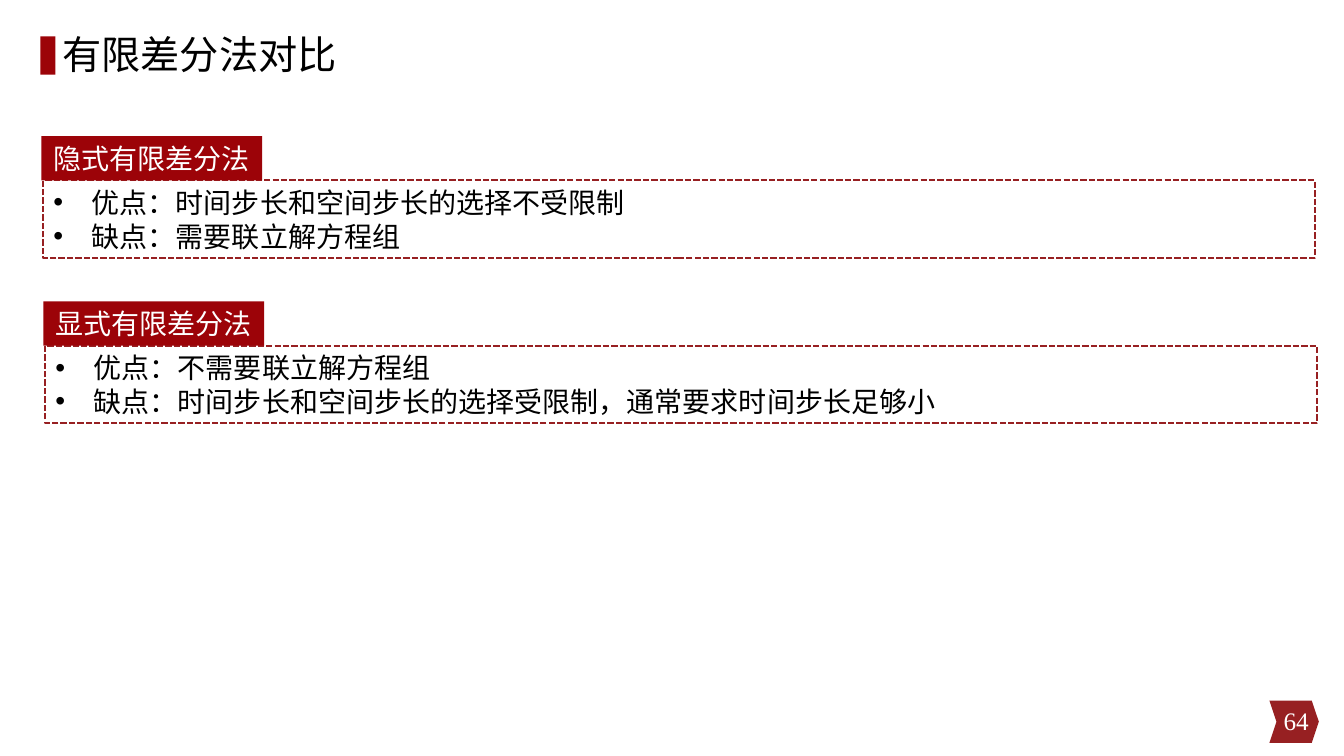
"""Builds a slide comparing implicit and explicit finite difference methods."""
from dataclasses import dataclass

from lxml import etree
from pptx import Presentation
from pptx import util as u
from pptx.dml.color import RGBColor
from pptx.enum import dml, shapes, text
from pptx.oxml import ns

CRIMSON = RGBColor(0x9C, 0x03, 0x08)
BRICK = RGBColor(0x97, 0x20, 0x22)
BLACK = RGBColor(0, 0, 0)
WHITE = RGBColor(0xFF, 0xFF, 0xFF)
LATIN = "Times New Roman"
CJK = "Noto Sans CJK SC"


@dataclass
class Method:
    name: str
    points: list[str]
    left: float
    top: float


METHODS = [
    Method("隐式有限差分法",
           ["优点：时间步长和空间步长的选择不受限制", "缺点：需要联立解方程组"],
           0.41, 1.35),
    Method("显式有限差分法",
           ["优点：不需要联立解方程组",
            "缺点：时间步长和空间步长的选择受限制，通常要求时间步长足够小"],
           0.43, 2.99),
]


def place(sp, left: float, top: float, width: float, height: float) -> None:
    sp.left, sp.top = u.Inches(left), u.Inches(top)
    sp.width, sp.height = u.Inches(width), u.Inches(height)


def add_run(p, words: str, size: float, color: RGBColor, font: str = LATIN) -> None:
    r = p.add_run()
    r.text = words
    r.font.size = u.Pt(size)
    r.font.name = font
    r.font.color.rgb = color
    etree.SubElement(r.font._element, ns.qn("a:ea"), typeface=CJK)


def add_block(s, kind, left: float, top: float, width: float, height: float,
              color: RGBColor):
    sp = s.shapes.add_shape(kind, u.Inches(left), u.Inches(top),
                            u.Inches(width), u.Inches(height))
    sp.shadow.inherit = False
    sp.fill.solid()
    sp.fill.fore_color.rgb = color
    sp.line.fill.background()
    return sp


def add_bullet(p) -> None:
    pPr = p._p.get_or_add_pPr()
    pPr.set("marL", str(u.Inches(0.38)))
    pPr.set("indent", str(-u.Inches(0.38)))
    etree.SubElement(pPr, ns.qn("a:buFont"), typeface="Arial")
    etree.SubElement(pPr, ns.qn("a:buChar"), char="•")
    p.space_before = u.Pt(0)


def add_method(s, body, method: Method) -> None:
    place(body, method.left + 0.02, method.top + 0.44, 12.61, 0.77)
    body.line.color.rgb = BRICK
    body.line.width = u.Pt(1.5)
    body.line.dash_style = dml.MSO_LINE.SQUARE_DOT
    tf = body.text_frame
    tf.auto_size = text.MSO_AUTO_SIZE.NONE
    for i, point in enumerate(method.points):
        p = tf.add_paragraph() if i else tf.paragraphs[0]
        add_bullet(p)
        add_run(p, point, 20, BLACK)

    label = add_block(s, shapes.MSO_SHAPE.RECTANGLE,
                      method.left, method.top, 2.19, 0.44, CRIMSON)
    p = label.text_frame.paragraphs[0]
    p.alignment = text.PP_ALIGN.CENTER
    add_run(p, method.name, 20, WHITE)


def add_title(s, words: str) -> None:
    add_block(s, shapes.MSO_SHAPE.RECTANGLE, 0.4, 0.36, 0.15, 0.38, CRIMSON)
    title = s.shapes.title
    place(title, 0.52, -0.02, 11.31, 1.17)
    title.text_frame.vertical_anchor = text.MSO_ANCHOR.MIDDLE
    p = title.text_frame.paragraphs[0]
    p.alignment = text.PP_ALIGN.LEFT
    p.line_spacing = 0.9
    add_run(p, words, 28, BLACK, CJK)


def add_page_number(s, number: str) -> None:
    chevron = add_block(s, shapes.MSO_SHAPE.CHEVRON, 12.59, 6.95, 0.49, 0.42, BRICK)
    chevron.adjustments[0] = 0.167
    box = s.shapes.add_textbox(u.Inches(10.08), u.Inches(6.95),
                               u.Inches(3), u.Inches(0.4))
    tf = box.text_frame
    tf.word_wrap = True
    tf.vertical_anchor = text.MSO_ANCHOR.MIDDLE
    p = tf.paragraphs[0]
    p.alignment = text.PP_ALIGN.RIGHT
    add_run(p, number, 18, WHITE)


def main() -> None:
    prs = Presentation()
    prs.slide_width, prs.slide_height = u.Inches(13.33), u.Inches(7.5)
    s = prs.slides.add_slide(prs.slide_layouts.get_by_name("Two Content"))
    add_title(s, "有限差分法对比")
    for idx, method in enumerate(METHODS, start=1):
        add_method(s, s.placeholders[idx], method)
    add_page_number(s, "64")
    prs.save("out.pptx")


if __name__ == "__main__":
    main()
